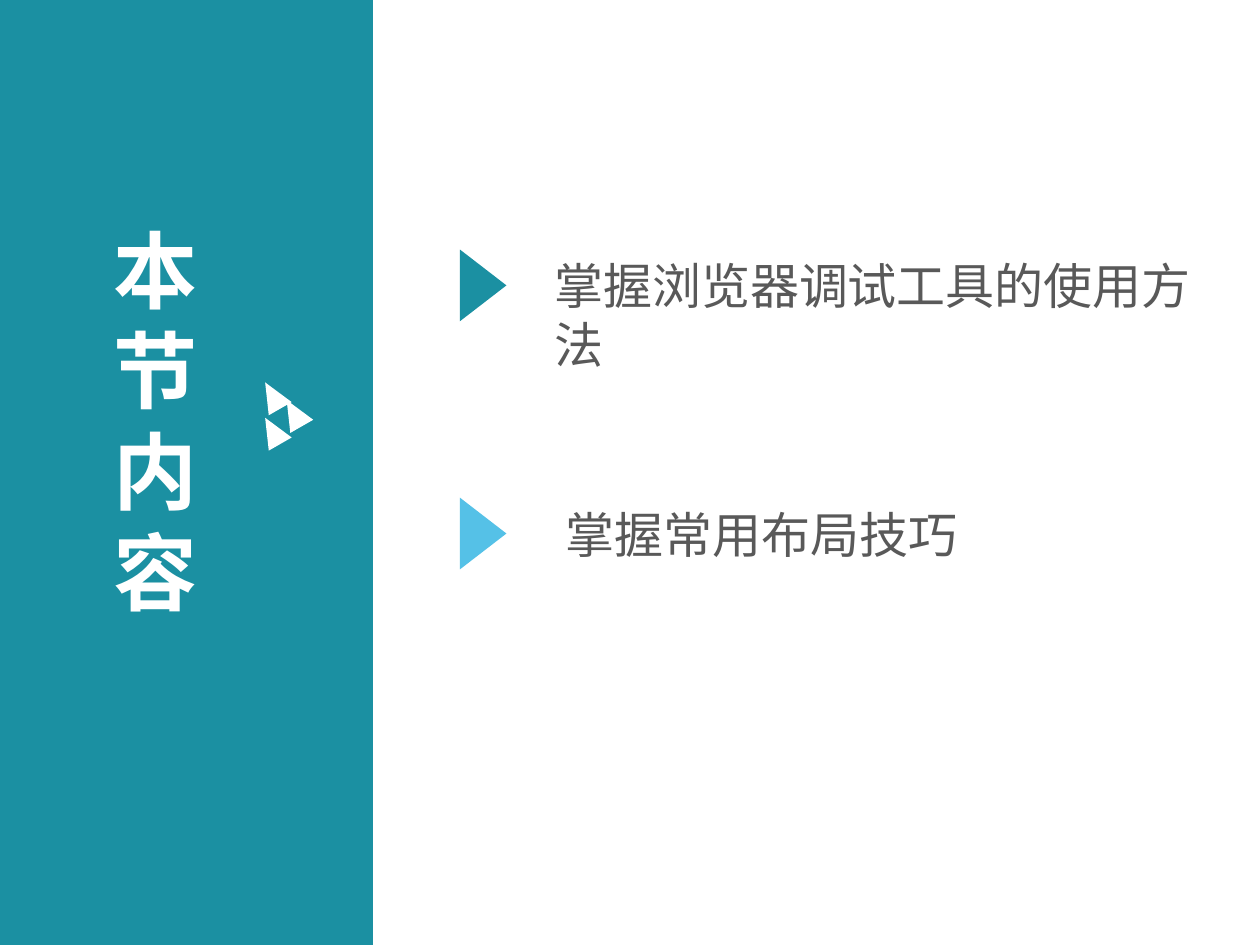
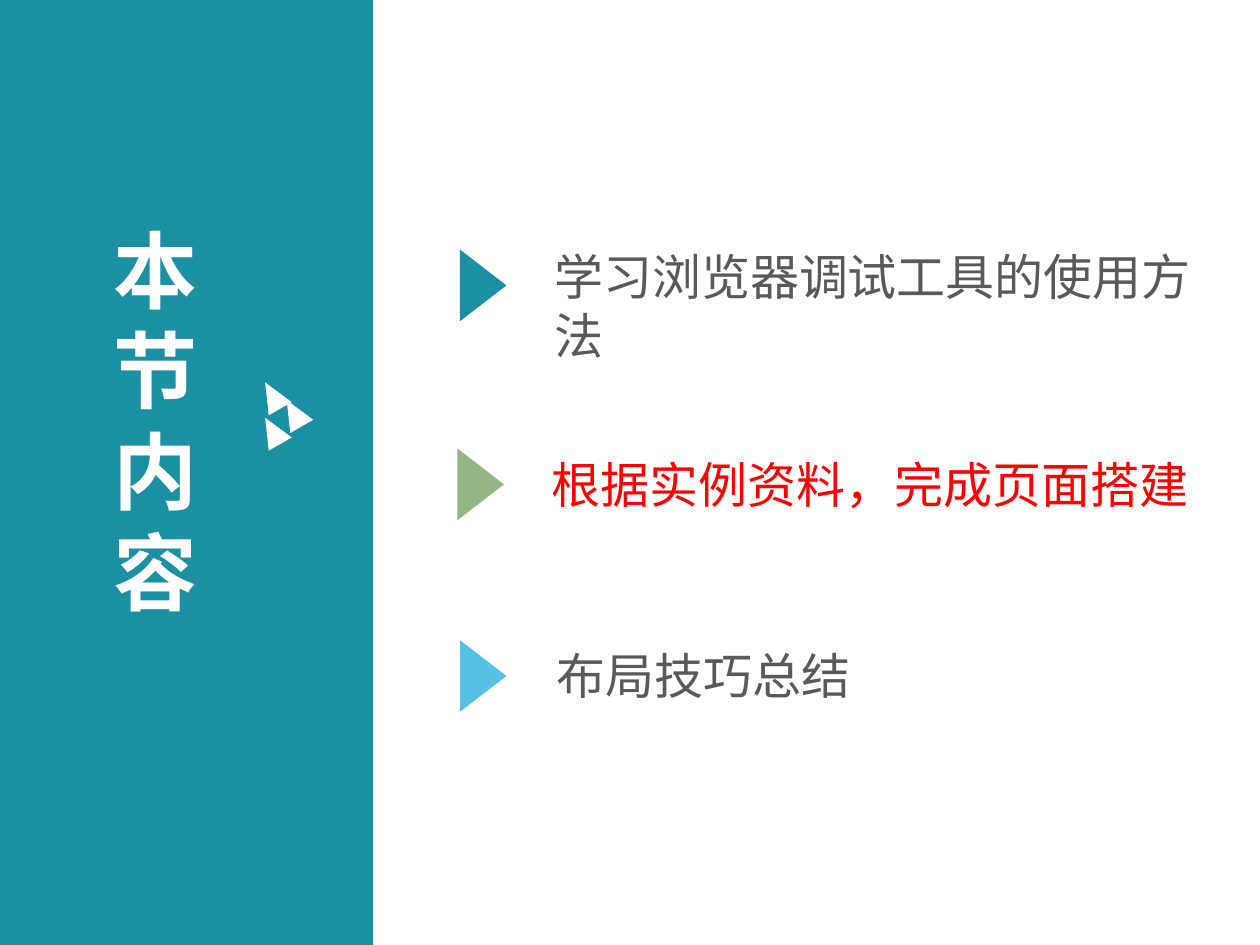
"""Build two lesson outline slides with a teal side band."""
from lxml import etree
from pptx import Presentation
from pptx.dml.color import RGBColor
from pptx.enum.shapes import MSO_SHAPE
from pptx.enum.text import MSO_ANCHOR, MSO_AUTO_SIZE, PP_ALIGN
from pptx.oxml.ns import qn
from pptx.util import Pt

RECT, TRI = MSO_SHAPE.RECTANGLE, MSO_SHAPE.ISOSCELES_TRIANGLE
TOP, LEFT, GROW = MSO_ANCHOR.TOP, PP_ALIGN.LEFT, MSO_AUTO_SIZE.SHAPE_TO_FIT_TEXT

HEAD = "本节内容"
SLIDES = [
    [
        dict(text="掌握浏览器调试工具的使用方法", at=(309.6, 142.6), lines=2,
             ink="text", mark="teal", tip=(255.6, 149.8)),
        dict(text="掌握常用布局技巧", at=(316.1, 284.4), lines=1,
             ink="text", mark="sky", tip=(255.6, 291.6)),
    ],
    [
        dict(text="学习浏览器调试工具的使用方法", at=(309.6, 137.5), lines=2,
             ink="text", mark="teal", tip=(255.6, 149.8)),
        dict(text="根据实例资料，完成页面搭建", at=(308.2, 256.3), lines=1,
             ink="red", mark="green", tip=(254.2, 263.5)),
        dict(text="布局技巧总结", at=(311, 365), lines=1,
             ink="text", mark="sky", tip=(255.6, 373)),
    ],
]
THEME = dict(
    font="Noto Sans CJK SC", head=48, item=28,
    teal="1B90A2", sky="55C1E7", green="93B784",
    text="595959", red="FF0000", white="FFFFFF",
)
WIDE, HIGH = 720, 540
BAND = (0, 0, 213.1, HIGH)
TITLE = (57.6, 121, 94.3, 239.8)
CHIPS = [(148.3, 217.4), (148.3, 237.6), (160.6, 227.5)]
CHIP = (15.1, 17.3)
ARROW = (41, 26.6)
ITEM, LINE, PAD = 388.1, 33.7, 7.2


def tint(name):
    """Return a theme colour."""
    return RGBColor.from_string(THEME[name])


def apply(obj, form):
    """Set each attribute in a dict of format values."""
    for key, val in form.items():
        setattr(obj, key, val)


def place(obj, box):
    """Move and size a shape, in points."""
    apply(obj, dict(zip(("left", "top", "width", "height"), map(Pt, box))))


def draw(slide, kind, box, hue, turn=0):
    """Add a flat shape without an outline."""
    part = slide.shapes.add_shape(kind, *map(Pt, box))
    part.shadow.inherit = False
    part.fill.solid()
    part.fill.fore_color.rgb = tint(hue)
    part.line.fill.background()
    part.rotation = turn
    return part


def write(hold, text, box, size, hue, bold):
    """Fill a placeholder with one plain paragraph."""
    place(hold, box)
    frame = hold.text_frame
    apply(frame, dict(word_wrap=True, auto_size=GROW, vertical_anchor=TOP))
    para = frame.paragraphs[0]
    apply(para, dict(alignment=LEFT, space_before=Pt(0)))
    prop = para._p.get_or_add_pPr()
    apply_xml = dict(marL="0", indent="0")
    for key, val in apply_xml.items():
        prop.set(key, val)
    etree.SubElement(prop, qn("a:buNone"))
    run = para.add_run()
    run.text = text
    apply(run.font, dict(name=THEME["font"], size=Pt(THEME[size]), bold=bold))
    run.font.color.rgb = tint(hue)
    face = etree.SubElement(run._r.get_or_add_rPr(), qn("a:ea"))
    face.set("typeface", THEME["font"])


def build(deck, items):
    """Add one outline slide."""
    slide = deck.slides.add_slide(deck.slide_layouts[4])
    band = draw(slide, RECT, BAND, "teal")
    slide.shapes._spTree.insert(2, band._element)
    write(slide.shapes.title, HEAD, TITLE, "head", "white", True)
    for spot in CHIPS:
        draw(slide, TRI, spot + CHIP, "white", 330.2)
    holds = [h for h in slide.placeholders if h.placeholder_format.idx]
    for hold, item in zip(holds, items):
        box = item["at"] + (ITEM, item["lines"] * LINE + PAD)
        write(hold, item["text"], box, "item", item["ink"], False)
        draw(slide, TRI, item["tip"] + ARROW, item["mark"], 90)
    for hold in holds[len(items):]:
        hold._element.getparent().remove(hold._element)


def main():
    """Build and save the deck."""
    deck = Presentation()
    apply(deck, dict(slide_width=Pt(WIDE), slide_height=Pt(HIGH)))
    for items in SLIDES:
        build(deck, items)
    deck.save("out.pptx")


if __name__ == "__main__":
    main()
